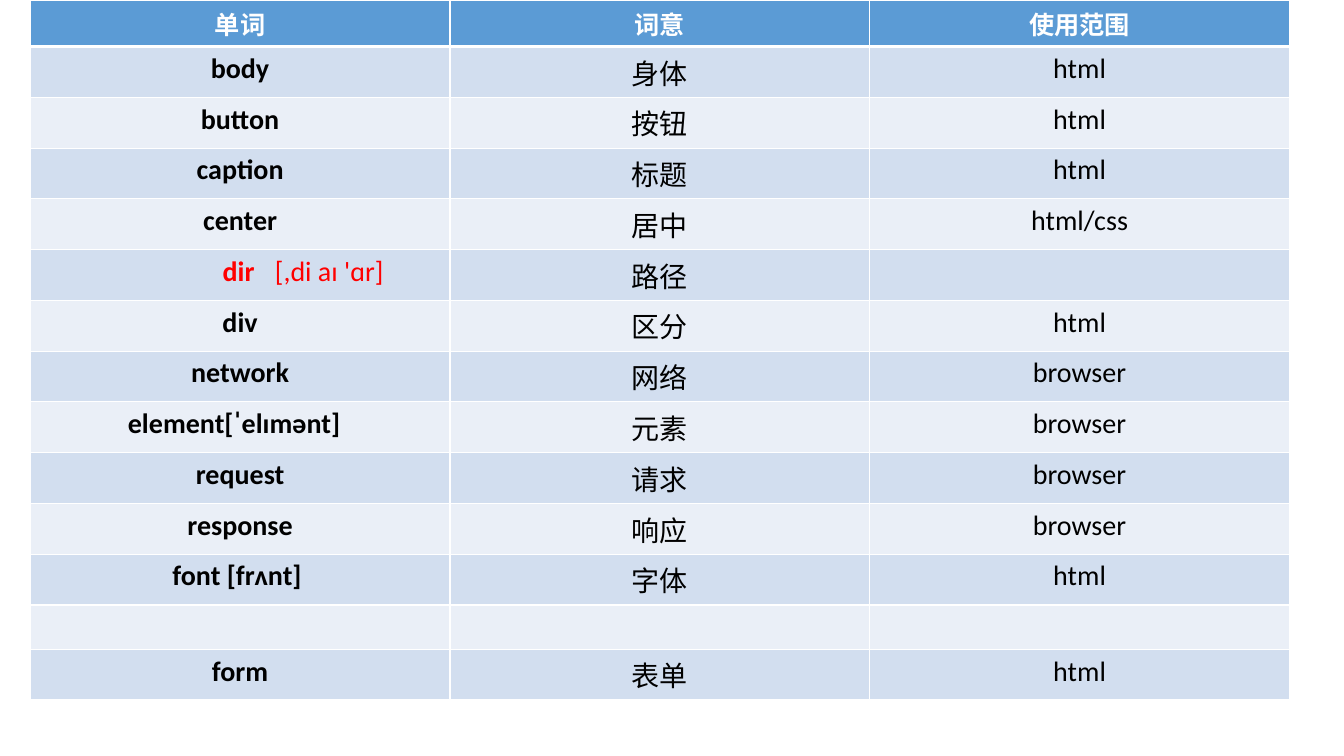
from dataclasses import dataclass

from pptx import Presentation
from pptx.dml.color import RGBColor as RGB
from pptx.enum.text import PP_ALIGN
from pptx.oxml import parse_xml
from pptx.oxml.ns import nsdecls
from pptx.util import Inches, Pt


@dataclass(frozen=True)
class Theme:
    font: str = "Calibri"
    header_size: int = 18
    body_size: int = 20
    header_fill: str = "5B9BD5"
    bands: tuple[str, str] = ("D2DEEF", "EAEFF7")
    white: str = "FFFFFF"
    black: str = "000000"
    red: str = "FF0000"
    line: int = 1
    header_line: int = 3


@dataclass(frozen=True)
class Word:
    """One table row; shifts widen the word cell's side margins, in inches."""
    word: str = ""
    meaning: str = ""
    scope: str = ""
    phonetic: str = ""
    shift_right: float = 0
    shift_left: float = 0


THEME = Theme()
SLIDE_W, SLIDE_H = 13.33, 7.5
LEFT, TABLE_W = 0.3, 12.49
HEADER_H, ROW_H, TALL_ROW_H = 0.33, 0.41, 0.43
CELL_MARGIN = 0.1
HEADERS = ("单词", "词意", "使用范围")
WORDS = (
    Word("body", "身体", "html"),
    Word("button", "按钮", "html"),
    Word("caption", "标题", "html"),
    Word("center", "居中", "html/css"),
    Word("dir", "路径", phonetic="[,di aɪ 'ɑr]", shift_right=1.25),
    Word("div", "区分", "html"),
    Word("network", "网络", "browser"),
    Word("element[ˈelɪmənt]", "元素", "browser", shift_left=0.12),
    Word("request", "请求", "browser"),
    Word("response", "响应", "browser"),
    Word("font [frʌnt]", "字体", "html", shift_left=0.06),
    Word(),
    Word("form", "表单", "html"),
)


def add_run(p, text: str, *, size: int, color: str, bold: bool = False,
            spacing: int = 0) -> None:
    r = p.add_run()
    r.text = text
    r.font.name, r.font.size, r.font.bold = THEME.font, Pt(size), bold
    r.font.color.rgb = RGB.from_string(color)
    if spacing:
        r.font._element.set("spc", str(spacing * 100))


def style_cell(cell, fill: str, bottom: int = THEME.line) -> None:
    """Draw the cell's borders, then its fill."""
    tc_pr = cell._tc.get_or_add_tcPr()
    for side in "LRTB":
        width = Pt(bottom if side == "B" else THEME.line)
        tc_pr.append(parse_xml(
            f'<a:ln{side} {nsdecls("a")} w="{width}"><a:solidFill>'
            f'<a:srgbClr val="{THEME.white}"/></a:solidFill></a:ln{side}>'))
    cell.fill.solid()
    cell.fill.fore_color.rgb = RGB.from_string(fill)


def write_cell(cell, text: str, *, size: int = THEME.body_size,
               color: str = THEME.black, bold: bool = False) -> None:
    p = cell.text_frame.paragraphs[0]
    p.alignment = PP_ALIGN.CENTER
    if text:
        add_run(p, text, size=size, color=color, bold=bold)
    else:
        p._p.append(parse_xml(
            f'<a:endParaRPr {nsdecls("a")} sz="{size * 100}">'
            f'<a:latin typeface="{THEME.font}"/></a:endParaRPr>'))


def write_word(cell, word: Word) -> None:
    color = THEME.red if word.phonetic else THEME.black
    write_cell(cell, word.word, color=color, bold=True)
    cell.margin_left = Inches(CELL_MARGIN + word.shift_right)
    cell.margin_right = Inches(CELL_MARGIN + word.shift_left)
    if word.phonetic:
        p = cell.text_frame.paragraphs[0]
        add_run(p, " ", size=THEME.body_size, color=color, spacing=10)
        add_run(p, word.phonetic, size=THEME.body_size, color=color)


def add_word_table(s) -> None:
    height = HEADER_H + ROW_H * len(WORDS)
    table = s.shapes.add_table(len(WORDS) + 1, len(HEADERS), Inches(LEFT), 0,
                               Inches(TABLE_W), Inches(height)).table
    table.horz_banding = False
    for column in table.columns:
        column.width = Inches(TABLE_W / len(HEADERS))

    table.rows[0].height = Inches(HEADER_H)
    for col, header in enumerate(HEADERS):
        cell = table.cell(0, col)
        style_cell(cell, THEME.header_fill, THEME.header_line)
        write_cell(cell, header, size=THEME.header_size, color=THEME.white,
                   bold=True)

    for row, word in enumerate(WORDS, start=1):
        tall = word.word.startswith("element")
        table.rows[row].height = Inches(TALL_ROW_H if tall else ROW_H)
        for col in range(len(HEADERS)):
            style_cell(table.cell(row, col), THEME.bands[(row - 1) % 2])
        write_word(table.cell(row, 0), word)
        write_cell(table.cell(row, 1), word.meaning)
        write_cell(table.cell(row, 2), word.scope)


def main() -> None:
    prs = Presentation()
    prs.slide_width, prs.slide_height = Inches(SLIDE_W), Inches(SLIDE_H)
    s = prs.slides.add_slide(prs.slide_layouts[6])
    add_word_table(s)
    prs.save("out.pptx")


if __name__ == "__main__":
    main()
